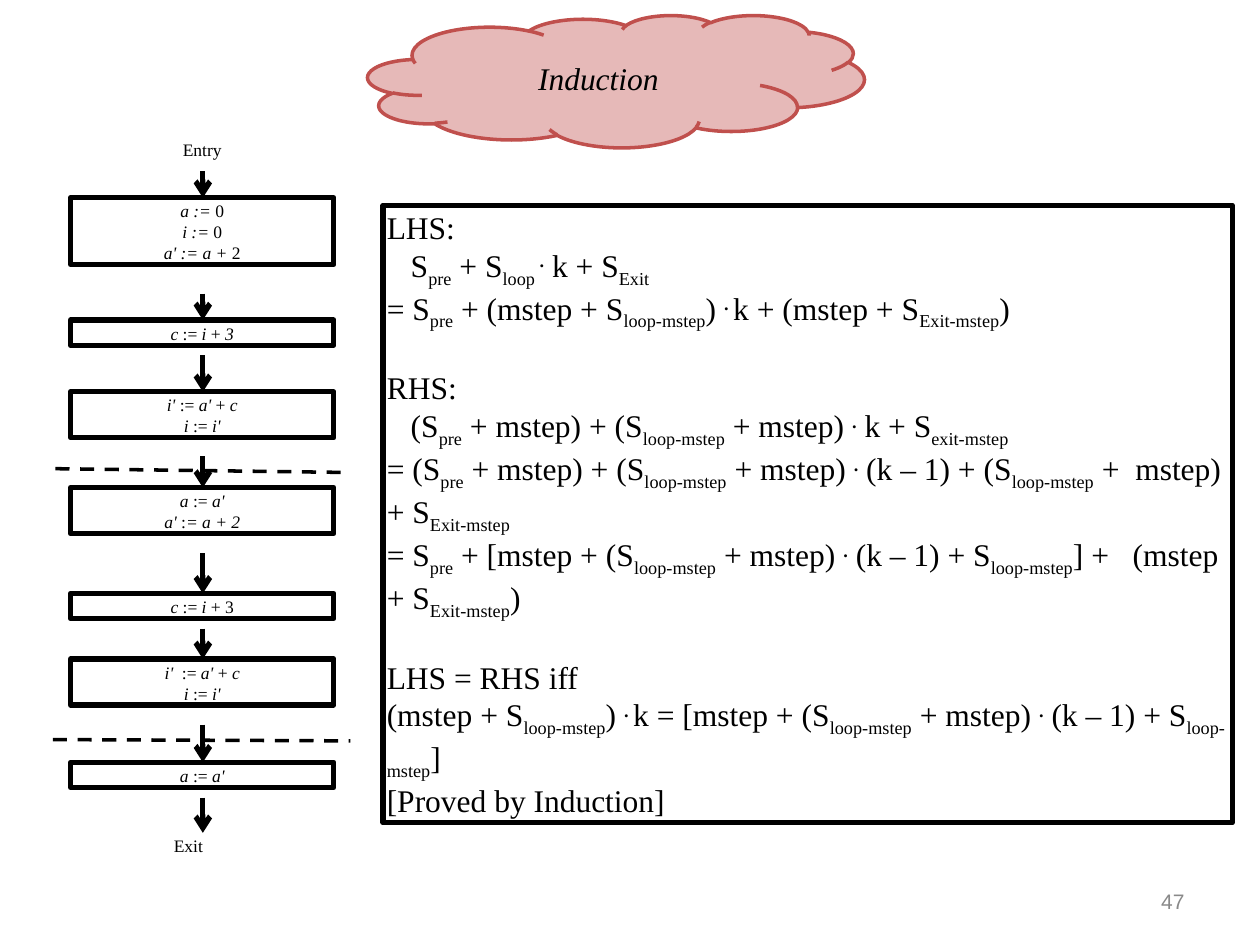
from collections import namedtuple

from lxml import etree
from pptx import Presentation, util as u
from pptx.dml.color import RGBColor
from pptx.enum import dml, shapes, text
from pptx.oxml import ns

BLACK = RGBColor(0x00, 0x00, 0x00)
GREY = RGBColor(0x89, 0x89, 0x89)
PINK = RGBColor(0xE6, 0xB9, 0xB8)
RED = RGBColor(0xC0, 0x50, 0x4D)
SERIF, SANS = "Times New Roman", "Arial"
COLUMNS, ROWS = 100, 75
CELL = u.Inches(0.1)
LEFT, CENTER, RIGHT = text.PP_ALIGN.LEFT, text.PP_ALIGN.CENTER, text.PP_ALIGN.RIGHT
MIDDLE = text.MSO_ANCHOR.MIDDLE
TIGHT, ROOMY = (0.3, 0.2), (1, 0.5)

Box = namedtuple("Box", "left top width height")
Line = namedtuple("Line", "markup indent before", defaults=(0, 0))
Step = namedtuple("Step", "arrow_top top lines")

STEPS = [
    Step(2.8, 4.9, [Line("/a := |0"), Line("/i := |0"), Line("/a' := a + |2", -1)]),
    Step(12.5, 14.6, [Line("/c |:=|/ i |+|/ 3")]),
    Step(17.4, 20.3, [Line("/i' |:=|/ a' |+ |/c"), Line("/i |:= |/i'")]),
    Step(25.4, 27.9, [Line("/a |:=|/ a'"), Line("/a' |:|/= a + 2", -0.7)]),
    Step(33.1, 36.3, [Line("/c |:=|/ i |+ 3")]),
    Step(39.1, 41.5, [Line("/i'  |:=|/ a' |+ |/c"), Line("/i |:= |/i'")]),
    Step(46.7, 49.7, [Line("/a |:=|/ a'")]),
]
CUTS = [(0.2, 26.4, 26.7), (0, 47.9, 48)]
PROOF = [
    Line("LHS:"),
    Line("S|_pre| + S|_loop |^.| k + S|_Exit", 1.9),
    Line("= S|_pre| + (mstep + S|_loop-mstep|) |^. |k + (mstep + S|_Exit-mstep|)"),
    Line("RHS:", 0, 21),
    Line("(S|_pre| + mstep) + (S|_loop-mstep| + mstep) |^.| k + S|_exit-mstep", 1.9),
    Line("= (S|_pre| + mstep) + (S|_loop-mstep| + mstep) |^.| (k – 1) + (S"
         "|_loop-mstep| +  mstep) + S|_Exit-mstep"),
    Line("= S|_pre| + [mstep + (S|_loop-mstep| + mstep) |^.| (k – 1) + S"
         "|_loop-mstep|] +   (mstep + S|_Exit-mstep|)"),
    Line("LHS = RHS iff", 0, 21),
    Line("(mstep + S|_loop-mstep|) |^. |k = [mstep + (S|_loop-mstep| + mstep) "
         "|^.| (k – 1) + S|_loop-mstep|]"),
    Line("[Proved by Induction]"),
]


def cells(*counts):
    """Turn counts of grid cells into lengths."""
    return [u.Emu(round(count * CELL)) for count in counts]


def add_span(para, piece, size, font, color):
    """Add one run; a leading / is italic, _ subscript and ^ bold superscript."""
    mark = piece[0] if piece[0] in "/_^" else ""
    span = para.add_run()
    span.text = piece[len(mark):]
    span.font.size, span.font.name = u.Pt(size), font
    span.font.color.rgb = color
    span.font.italic, span.font.bold = mark == "/", mark == "^"
    if mark in ("_", "^"):
        shift = "-25000" if mark == "_" else "30000"
        span._r.get_or_add_rPr().set("baseline", shift)


def write(shape, lines, size, align=LEFT, font=SERIF, color=BLACK,
          insets=TIGHT, anchor=text.MSO_ANCHOR.TOP):
    """Fill a shape with marked-up lines."""
    frame = shape.text_frame
    frame.word_wrap, frame.vertical_anchor = True, anchor
    side, edge = cells(*insets)
    frame.margin_left = frame.margin_right = side
    frame.margin_top = frame.margin_bottom = edge
    for index, line in enumerate(lines):
        para = frame.add_paragraph() if index else frame.paragraphs[0]
        para.alignment = align
        if line.before:
            para.space_before = u.Pt(line.before)
        if line.indent:
            para._p.get_or_add_pPr().set("indent", str(cells(line.indent)[0]))
        for piece in line.markup.split("|"):
            add_span(para, piece, size, font, color)


def add_label(page, box, lines, size, **style):
    """Place a text box."""
    write(page.shapes.add_textbox(*cells(*box)), lines, size, **style)


def add_panel(page, box, lines, size, kind=shapes.MSO_SHAPE.RECTANGLE,
              fill=None, outline=BLACK, weight=3, **style):
    """Place an outlined shape with text."""
    panel = page.shapes.add_shape(kind, *cells(*box))
    panel.shadow.inherit = False
    if fill is None:
        panel.fill.background()
    else:
        panel.fill.solid()
        panel.fill.fore_color.rgb = fill
    panel.line.color.rgb, panel.line.width = outline, u.Pt(weight)
    write(panel, lines, size, **style)


def add_line(page, start, end, weight):
    """Draw a plain black line between two grid points."""
    line = page.shapes.add_connector(
        shapes.MSO_CONNECTOR.STRAIGHT, *cells(*start, *end))
    line.line.color.rgb, line.line.width = BLACK, u.Pt(weight)
    etree.SubElement(line._element.spPr, ns.qn("a:effectLst"))
    return line


def add_arrow(page, x, top, bottom):
    """Draw a downward arrow."""
    arrow = add_line(page, (x, top), (x, bottom), 3)
    outline = arrow.line._get_or_add_ln()
    etree.SubElement(outline, ns.qn("a:tailEnd"), type="arrow")


def draw_heading(page, box):
    """Draw the cloud with the heading."""
    add_panel(page, box, [Line("/Induction")], 18, kind=shapes.MSO_SHAPE.CLOUD,
              fill=PINK, outline=RED, weight=2, align=CENTER,
              insets=ROOMY, anchor=MIDDLE)


def draw_flow(page, box):
    """Draw the program steps from entry to exit."""
    middle = box.left + 11.9
    label = Box(middle - 3.5, box.top, 6.9, 2)
    add_label(page, label, [Line("Entry")], 10, align=CENTER)
    for step in STEPS:
        add_arrow(page, middle, box.top + step.arrow_top, box.top + step.top)
        node = Box(box.left + 1.4, box.top + step.top, 20.9,
                   0.35 + 1.65 * len(step.lines))
        add_panel(page, node, step.lines, 10, align=CENTER)
    for left, start, end in CUTS:
        cut = add_line(page, (box.left + left, box.top + start),
                       (box.left + box.width, box.top + end), 2)
        cut.line.dash_style = dml.MSO_LINE.DASH
    bottom = box.top + box.height - label.height
    add_arrow(page, middle, bottom - 2.8, bottom)
    add_label(page, label._replace(top=bottom), [Line("Exit", 0.9)], 10)


def draw_proof(page, box):
    """Draw the framed proof."""
    add_panel(page, box, PROOF, 18)


def draw_number(page, box):
    """Place the page number."""
    add_label(page, box, [Line("47")], 12, align=RIGHT, font=SANS, color=GREY,
              insets=ROOMY, anchor=MIDDLE)


def main():
    """Build and save the deck."""
    deck = Presentation()
    deck.slide_width, deck.slide_height = cells(COLUMNS, ROWS)
    page = deck.slides.add_slide(deck.slide_layouts[6])
    draw_heading(page, Box(29.2, 1.2, 39.4, 10.5))
    draw_flow(page, Box(4.2, 10.8, 23.6, 57.3))
    draw_proof(page, Box(30.4, 16.3, 67.4, 49))
    draw_number(page, Box(71.7, 69.5, 23.3, 4))
    deck.save("out.pptx")


if __name__ == "__main__":
    main()
